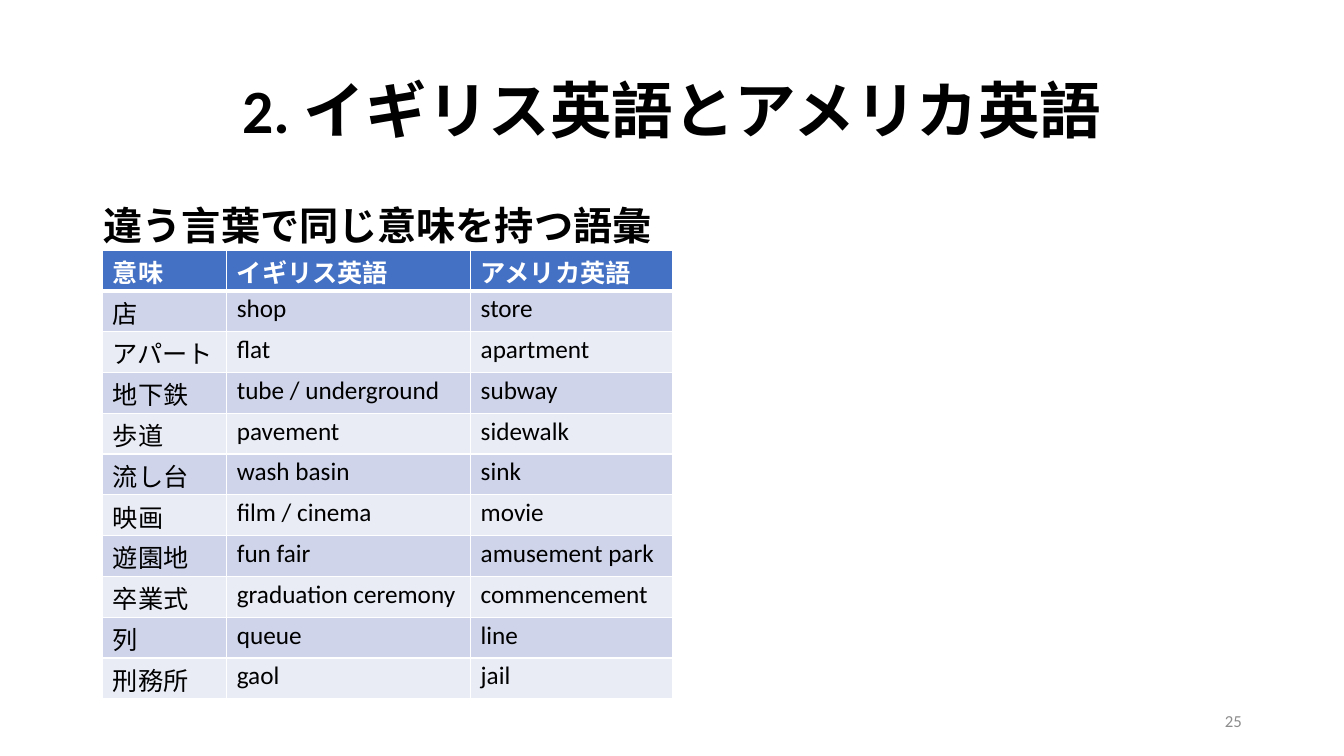
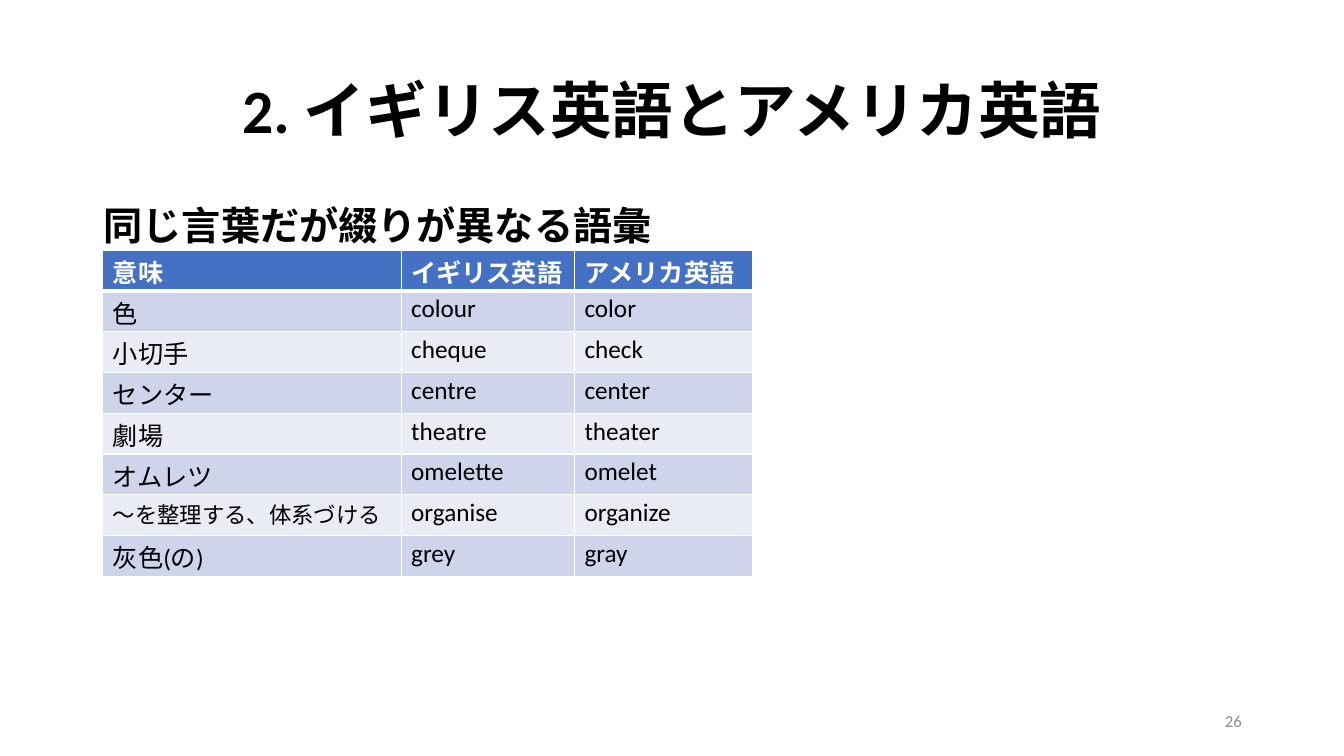
from itertools import groupby

from lxml import etree
from pptx import Presentation
from pptx.dml.color import RGBColor
from pptx.enum.text import MSO_ANCHOR as ANCHOR, PP_ALIGN as ALIGN
from pptx.oxml.ns import qn
from pptx.util import Pt

PX = 4572  # 200 px to the inch
LATIN, JAPANESE = "Calibri", "Noto Sans CJK JP"
BLACK, WHITE, GREY = "000000", "FFFFFF", "8C8C8C"
HEADER_FILL, BAND_FILLS = "4471C4", ("E9EBF5", "CFD4EA")
TITLE = "2. イギリス英語とアメリカ英語"
HEADERS = ("意味", "イギリス英語", "アメリカ英語")
ROW_HEIGHT = 81
SMALL_CELLS = {"～を整理する、体系づける": 16}

TEXT_STYLES = {
    "title": dict(box=(184, 80, 2300, 290), size=44, bold=True, color=BLACK,
                  align=ALIGN.CENTER, anchor=ANCHOR.MIDDLE, spacing=0.9),
    "heading": dict(box=(186, 400, 2300, 952), size=28, bold=True, color=BLACK,
                    align=ALIGN.LEFT, anchor=ANCHOR.TOP, spacing=0.9),
    "number": dict(box=(1884, 1390, 600, 80), size=12, bold=False, color=GREY,
                   align=ALIGN.RIGHT, anchor=ANCHOR.MIDDLE, spacing=1.0),
}

SLIDES = [
    dict(number="25", heading="違う言葉で同じ意味を持つ語彙", widths=(246, 484, 400), rows=[
        ("店", "shop", "store"),
        ("アパート", "flat", "apartment"),
        ("地下鉄", "tube / underground", "subway"),
        ("歩道", "pavement", "sidewalk"),
        ("流し台", "wash basin", "sink"),
        ("映画", "film / cinema", "movie"),
        ("遊園地", "fun fair", "amusement park"),
        ("卒業式", "graduation ceremony", "commencement"),
        ("列", "queue", "line"),
        ("刑務所", "gaol", "jail"),
    ]),
    dict(number="26", heading="同じ言葉だが綴りが異なる語彙", widths=(592, 344, 354), rows=[
        ("色", "colour", "color"),
        ("小切手", "cheque", "check"),
        ("センター", "centre", "center"),
        ("劇場", "theatre", "theater"),
        ("オムレツ", "omelette", "omelet"),
        ("～を整理する、体系づける", "organise", "organize"),
        ("灰色(の)", "grey", "gray"),
    ]),
]


def rgb(color):
    return RGBColor.from_string(color)


def write(p, text, size, bold, color):
    """Add one run for each stretch of Latin or Japanese characters."""
    for is_latin, chars in groupby(text, str.isascii):
        r = p.add_run()
        r.text = "".join(chars)
        r.font.size, r.font.bold = Pt(size), bold
        r.font.color.rgb = rgb(color)
        r.font.name = LATIN if is_latin else JAPANESE
        east_asian = etree.SubElement(r.font._element, qn("a:ea"))
        east_asian.set("typeface", JAPANESE)


prs = Presentation()
prs.slide_width, prs.slide_height = 2667 * PX, 1500 * PX

for page in SLIDES:
    s = prs.slides.add_slide(prs.slide_layouts[6])

    texts = {"title": TITLE, "number": page["number"], "heading": page["heading"]}
    for name, text in texts.items():
        style = TEXT_STYLES[name]
        tf = s.shapes.add_textbox(*(v * PX for v in style["box"])).text_frame
        tf.word_wrap, tf.vertical_anchor = True, style["anchor"]
        p = tf.paragraphs[0]
        p.alignment, p.line_spacing = style["align"], style["spacing"]
        write(p, text, style["size"], style["bold"], style["color"])

    rows, widths = [HEADERS] + page["rows"], page["widths"]
    table = s.shapes.add_table(
        len(rows), len(widths), 204 * PX, 496 * PX,
        sum(widths) * PX, len(rows) * ROW_HEIGHT * PX).table
    table.horz_banding = False
    for column, width in zip(table.columns, widths):
        column.width = width * PX

    for i, row in enumerate(rows):
        table.rows[i].height = ROW_HEIGHT * PX
        is_header = i == 0
        borders = {"a:lnL": 1, "a:lnR": 1, "a:lnT": 3 if i == 1 else 1,
                   "a:lnB": 3 if is_header else 1}
        for j, text in enumerate(row):
            cell = table.cell(i, j)
            cell.margin_left, cell.margin_top = 20 * PX, 6 * PX
            cell.margin_right = cell.margin_bottom = 0
            tcPr = cell._tc.get_or_add_tcPr()
            for tag, points in borders.items():
                ln = etree.SubElement(tcPr, qn(tag), w=str(Pt(points)))
                fill = etree.SubElement(ln, qn("a:solidFill"))
                etree.SubElement(fill, qn("a:srgbClr"), val=WHITE)
            cell.fill.solid()
            cell.fill.fore_color.rgb = rgb(HEADER_FILL if is_header else BAND_FILLS[i % 2])
            write(cell.text_frame.paragraphs[0], text, SMALL_CELLS.get(text, 18),
                  is_header, WHITE if is_header else BLACK)

prs.save("out.pptx")
